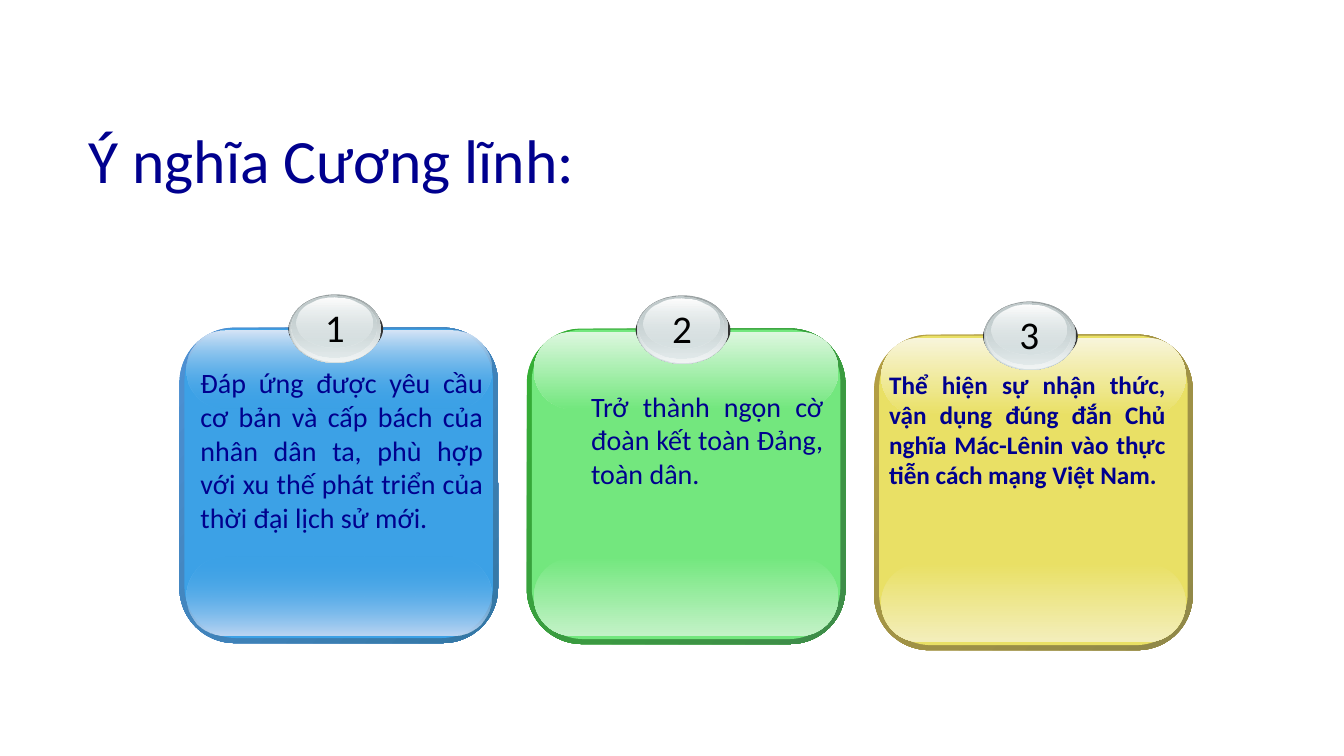
from lxml import etree
from pptx import Presentation
from pptx.dml.color import RGBColor
from pptx.enum.shapes import MSO_SHAPE
from pptx.enum.text import MSO_ANCHOR, MSO_AUTO_SIZE, PP_ALIGN
from pptx.oxml.ns import qn
from pptx.util import Inches, Pt

ROUND, OVAL = MSO_SHAPE.ROUNDED_RECTANGLE, MSO_SHAPE.OVAL
LEFT, CENTER, JUSTIFY = PP_ALIGN.LEFT, PP_ALIGN.CENTER, PP_ALIGN.JUSTIFY
MIDDLE, TOP = MSO_ANCHOR.MIDDLE, MSO_ANCHOR.TOP
NO_FIT, GROW = MSO_AUTO_SIZE.NONE, MSO_AUTO_SIZE.SHAPE_TO_FIT_TEXT
NAVY, BLACK = "00008E", "000000"
DOWN, DIAGONAL = 270, 315

CARD_LEFT, CARD_PITCH = 1.78, 3.445

# Badge layers: box relative to the badge, then the colour stops (colour, opacity %)
BADGE_LAYERS = [
    ((0, 0.06, 0.94, 0.57), [("333333", 100)]),
    ((0.01, 0, 0.91, 0.68), [("99A1A2", 100), ("D6E1E2", 100)]),
    ((0.02, 0.01, 0.89, 0.66), [("D6E1E2", 0), ("F2F5F5", 100)]),
    ((0.03, 0.01, 0.84, 0.62), [("C1CBCC", 100), ("D6E1E2", 48)]),
    ((0.08, 0.03, 0.75, 0.5), [("FFFFFF", 100), ("D6E1E2", 38)]),
]

# text_box is relative to the card
CARDS = [
    dict(top=3.25, rim=("4E91D4", "3477A4"), face="3CA1E6", foot="BDD6F3",
         shine="D7E5F7", fade=0, text_box=(0.11, 0.33, 3, 1.78),
         level=0, size=20, bold=False,
         text="Đáp ứng được yêu cầu cơ bản và cấp bách của nhân dân ta, "
              "phù hợp với xu thế phát triển của thời đại lịch sử mới."),
    dict(top=3.26, rim=("34B034", "3F8B4A"), face="73E77E", foot="C3F2C7",
         shine="DDF7DF", fade=100, text_box=(0.04, 0.55, 3, 1.11),
         level=1, size=20, bold=False,
         text="Trở thành ngọn cờ đoàn kết toàn Đảng, toàn dân."),
    dict(top=3.32, rim=("B59F43", "8F8849"), face="E9E065", foot="F3EEBB",
         shine="F8F5DB", fade=100, text_box=(-0.45, 0.29, 3.44, 1.31),
         level=1, size=18, bold=True,
         text="Thể hiện sự nhận thức, vận dụng đúng đắn Chủ nghĩa Mác-Lênin "
              "vào thực tiễn cách mạng Việt Nam."),
]


def rgb(color):
    return RGBColor.from_string(color)


def inches(x, y, box):
    """Turn a box relative to (x, y) into absolute lengths."""
    left, top, width, height = box
    return [Inches(v) for v in (x + left, y + top, width, height)]


def paint(sp, stops, angle):
    """Fill with one colour, or with a two-stop gradient with opacities."""
    if len(stops) == 1:
        sp.fill.solid()
        sp.fill.fore_color.rgb = rgb(stops[0][0])
        return
    sp.fill.gradient()
    sp.fill.gradient_angle = angle
    for stop, (color, _) in zip(sp.fill.gradient_stops, stops):
        stop.color.rgb = rgb(color)
    for clr, (_, opacity) in zip(sp._element.spPr.iter(qn("a:srgbClr")), stops):
        if opacity < 100:
            etree.SubElement(clr, qn("a:alpha"), val=str(opacity * 1000))


def add_layer(shapes, kind, place, stops, angle=DOWN, corner=None):
    sp = shapes.add_shape(kind, *place)
    sp.shadow.inherit = False
    sp.line.fill.background()
    if corner is not None:
        sp.adjustments[0] = corner
    paint(sp, stops, angle)


def write(sp, text, color, size, align, bold=False, anchor=TOP, fit=GROW, wrap=True):
    tf = sp.text_frame
    for name, value in dict(word_wrap=wrap, auto_size=fit, vertical_anchor=anchor).items():
        setattr(tf, name, value)
    p = tf.paragraphs[0]
    p.alignment = align
    r = p.add_run()
    r.text = text
    for name, value in dict(name="Calibri", size=Pt(size), bold=bold).items():
        setattr(r.font, name, value)
    r.font.color.rgb = rgb(color)
    return p


def add_title(s, box):
    sp = s.shapes.title
    sp.left, sp.top, sp.width, sp.height = inches(0, 0, box)
    p = write(sp, "Ý nghĩa Cương lĩnh:", NAVY, 44, LEFT, anchor=MIDDLE, fit=NO_FIT)
    p.line_spacing = 0.9


def add_badge(shapes, x, y, number):
    for box, stops in BADGE_LAYERS:
        add_layer(shapes, OVAL, inches(x, y, box), stops)
    sp = shapes.add_textbox(*inches(x, y, (0.26, 0.04, 0.4, 0.57)))
    write(sp, str(number), BLACK, 28, CENTER, wrap=False)


def add_card(s, x, number, card):
    y, face, fade = card["top"], card["face"], card["fade"]
    shapes = s.shapes.add_group_shape().shapes
    rim = [(color, 100) for color in card["rim"]]
    add_layer(shapes, ROUND, inches(x, y, (0, 0, 3.16, 3.13)), rim, DIAGONAL, 0.175)
    add_layer(shapes, ROUND, inches(x, y, (0.05, 0.01, 3.06, 3.07)), [(face, 100)], corner=0.167)
    add_layer(shapes, ROUND, inches(x, y, (0.07, 2.27, 3.02, 0.78)),
              [(face, fade), (card["foot"], 100)], corner=0.5)
    add_layer(shapes, ROUND, inches(x, y, (0.07, 0.03, 3.02, 0.77)),
              [(card["shine"], 100), (face, fade)], corner=0.5)
    add_badge(shapes, x + 1.08, y - 0.33, number)
    sp = shapes.add_textbox(*inches(x, y, card["text_box"]))
    p = write(sp, card["text"], NAVY, card["size"], JUSTIFY, bold=card["bold"])
    if card["level"]:
        p.level = card["level"]
        p._p.get_or_add_pPr().set("marL", str(Inches(0.5)))


def main():
    prs = Presentation()
    prs.slide_width, prs.slide_height = Inches(13.33), Inches(7.5)
    s = prs.slides.add_slide(prs.slide_layouts[5])
    add_title(s, (0.78, 1, 8.67, 1.25))
    for i, card in enumerate(CARDS):
        add_card(s, CARD_LEFT + i * CARD_PITCH, i + 1, card)
    prs.save("out.pptx")


if __name__ == "__main__":
    main()
